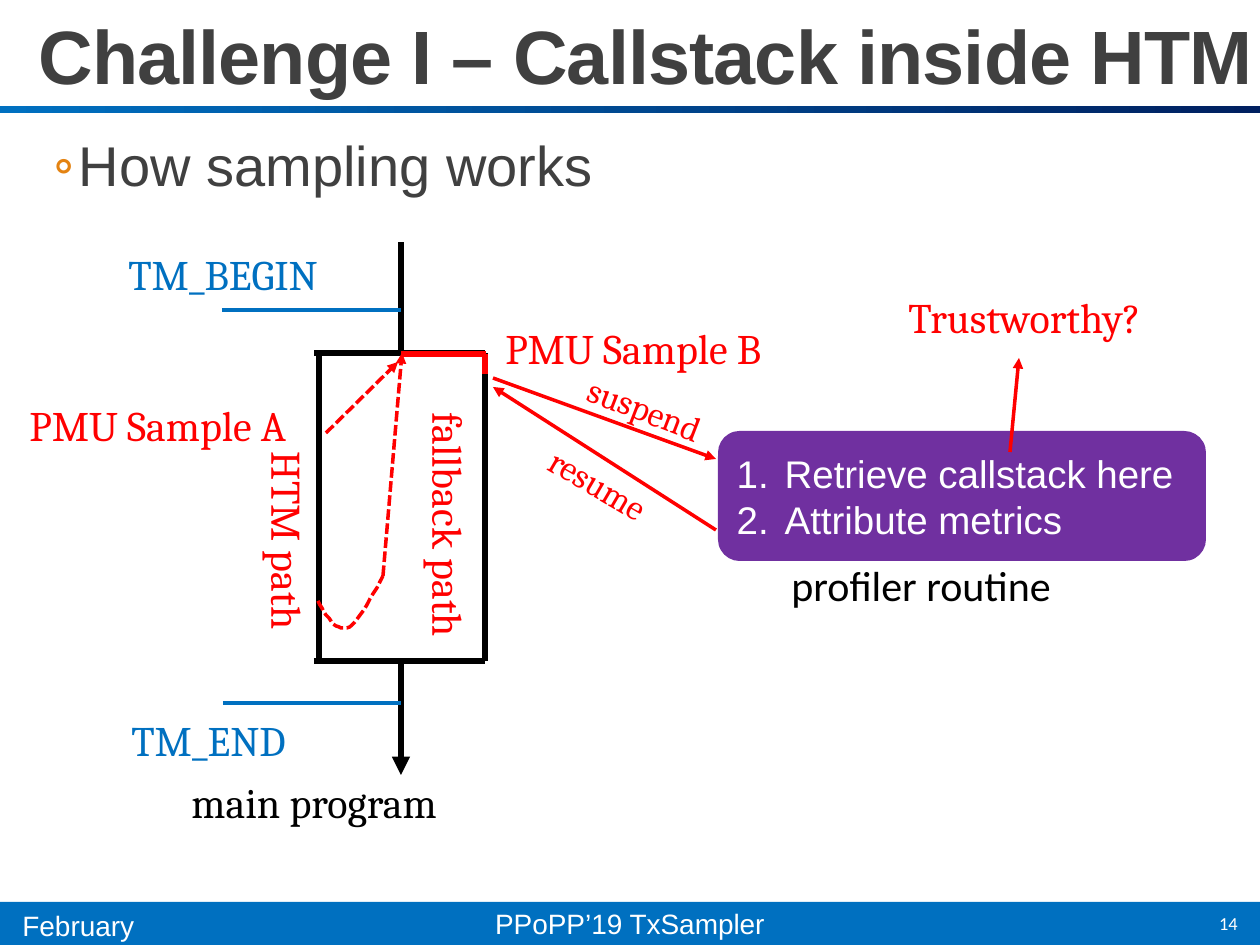
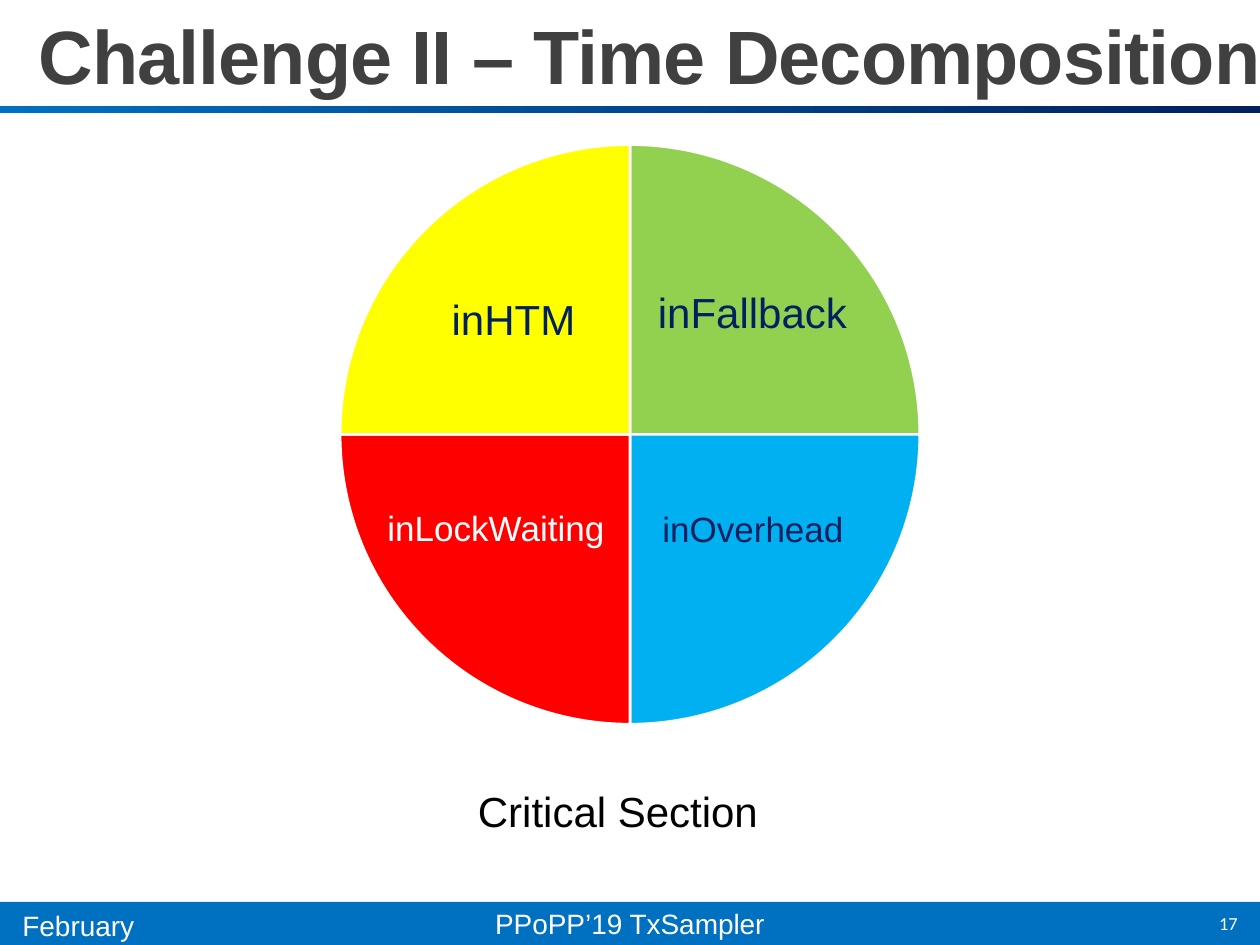
from pptx import Presentation
from pptx.chart.data import CategoryChartData
from pptx.dml.color import RGBColor
from pptx.enum.chart import XL_CHART_TYPE
from pptx.enum.dml import MSO_LINE
from pptx.enum.shapes import MSO_CONNECTOR, MSO_SHAPE
from pptx.enum.text import MSO_ANCHOR, PP_ALIGN
from pptx.oxml import parse_xml
from pptx.oxml.ns import nsdecls
from pptx.util import Pt
from lxml.etree import SubElement
from pptx.oxml.ns import qn

SCALE = 914400 / 126
WIDE, HIGH = 1260, 945

BLUE = RGBColor(0x00, 0x70, 0xC0)
NAVY = RGBColor(0x00, 0x20, 0x60)
GREY = RGBColor(0x40, 0x40, 0x40)
BLACK = RGBColor(0x00, 0x00, 0x00)
WHITE = RGBColor(0xFF, 0xFF, 0xFF)
RED = RGBColor(0xFF, 0x00, 0x00)
PURPLE = RGBColor(0x70, 0x30, 0xA0)
GREEN = RGBColor(0x92, 0xD0, 0x50)
SKY = RGBColor(0x00, 0xB0, 0xF0)
YELLOW = RGBColor(0xFF, 0xFF, 0x00)
ORANGE = "E48312"

LEFT, MID, RIGHT = PP_ALIGN.LEFT, PP_ALIGN.CENTER, PP_ALIGN.RIGHT

POINT = "How sampling works"
STEPS = ["Retrieve callstack here", "Attribute metrics"]

NOTES = [
    ("main program", (179, 770, 408, 63), 24, "Cambria", BLACK, 0),
    ("TM_BEGIN", (116, 242, 533, 63), 24, "Cambria", BLUE, 0),
    ("TM_END", (119, 708, 454, 63), 24, "Cambria", BLUE, 0),
    ("PMU Sample A", (17, 393, 314, 63), 24, "Cambria", RED, 0),
    ("PMU Sample B", (493, 316, 314, 63), 24, "Cambria", RED, 0),
    ("HTM path", (149, 547, 278, 63), 24, "Cambria", RED, 90),
    ("fallback path", (310, 508, 278, 63), 24, "Cambria", RED, 90),
    ("suspend", (571, 394, 215, 55), 20, "Cambria", RED, 21.1),
    ("resume", (527, 478, 215, 55), 20, "Cambria", RED, 30.5),
    ("profiler routine", (779, 553, 363, 63), 24, "Calibri", BLACK, 0),
    ("Trustworthy?", (896, 285, 718, 63), 24, "Cambria", RED, 0),
]

AXIS, WEST, EAST, TOP, BASE = 401, 319, 485, 353, 661
FRAME = [
    (WEST - 5, BASE, EAST, BASE),
    (WEST, BASE, WEST, TOP),
    (EAST, BASE, EAST, TOP),
    (EAST, TOP, WEST - 5, TOP),
    (AXIS, TOP, AXIS, 242),
]
MARKS = [(222, 310, AXIS, 310), (223, 703, AXIS, 703)]
TRACE = [(AXIS, 354, EAST + 1, 354), (EAST, 374, EAST, 354)]
JUMPS = [(383, 576, 402, 353), (326, 433, 398, 362)]
CALLS = [(493, 378, 716, 459), (716, 530, 493, 387), (1010, 452, 1019, 358)]
CURVES = [
    [(318, 601), (326, 616), (335, 631), (347, 628)],
    [(347, 628), (358, 624), (370, 600), (383, 576)],
]

SHARES = [25, 25, 25, 25]
HUES = [GREEN, SKY, RED, YELLOW]
PARTS = [
    ("inHTM", (436, 282, 155, 73), 24, NAVY, YELLOW),
    ("inFallback", (633, 282, 239, 60), 24, NAVY, GREEN),
    ("inLockWaiting", (367, 489, 258, 78), 20, WHITE, None),
    ("inOverhead", (640, 499, 226, 59), 20, NAVY, None),
    ("Critical Section", (455, 774, 326, 73), 24, BLACK, None),
]


def px(*nums):
    return [round(n * SCALE) for n in nums]


def style(para, size, face, hue, align=LEFT):
    para.alignment = align
    font = para.font
    font.size, font.name = Pt(size), face
    font.color.rgb = hue


def label(slide, text, box, size, face, hue, turn=0, align=LEFT,
          anchor=MSO_ANCHOR.TOP, fill=None):
    shape = slide.shapes.add_textbox(*px(*box))
    shape.rotation = turn
    if fill is not None:
        shape.fill.solid()
        shape.fill.fore_color.rgb = fill
    frame = shape.text_frame
    frame.word_wrap = True
    frame.vertical_anchor = anchor
    para = frame.paragraphs[0]
    para.text = text
    style(para, size, face, hue, align)
    return frame


def block(slide, kind, box, fill=None):
    shape = slide.shapes.add_shape(kind, *px(*box))
    shape.shadow.inherit = False
    shape.line.fill.background()
    if fill is not None:
        shape.fill.solid()
        shape.fill.fore_color.rgb = fill
    return shape


def stroke(line, hue, width, dash=False):
    line.color.rgb = hue
    line.width = Pt(width)
    if dash:
        line.dash_style = MSO_LINE.SQUARE_DOT


def link(slide, ends, hue, width, dash=False, arrow=False):
    wire = slide.shapes.add_connector(MSO_CONNECTOR.STRAIGHT, *px(*ends))
    stroke(wire.line, hue, width, dash)
    props = wire._element.spPr
    if arrow:
        SubElement(props.find(qn("a:ln")), qn("a:tailEnd"), type="triangle")
    SubElement(props, qn("a:effectLst"))


def indent(para, left, hang):
    props = para._p.get_or_add_pPr()
    props.set("marL", str(px(left)[0]))
    props.set("indent", str(px(-hang)[0]))
    return props


def start(deck, title, page):
    slide = deck.slides.add_slide(deck.slide_layouts[6])
    rule = block(slide, MSO_SHAPE.RECTANGLE, (0, 106, WIDE, 7))
    rule.fill.gradient()
    rule.fill.gradient_angle = 0
    for stop, hue in zip(rule.fill.gradient_stops, (BLUE, NAVY)):
        stop.color.rgb = hue
    foot = block(slide, MSO_SHAPE.RECTANGLE, (0, 902, WIDE, 43), BLUE)
    foot.text_frame.vertical_anchor = MSO_ANCHOR.MIDDLE
    para = foot.text_frame.paragraphs[0]
    para.text = "PPoPP’19 TxSampler"
    style(para, 16, "Arial", WHITE, MID)
    label(slide, "February", (10, 902, 156, 47), 16, "Arial", WHITE)
    label(slide, page, (1114, 898, 136, 50), 10.5, "Calibri", WHITE,
          align=RIGHT, anchor=MSO_ANCHOR.MIDDLE)
    head = label(slide, title, (26, 33, 1270, 73), 43.2, "Arial", GREY,
                 anchor=MSO_ANCHOR.BOTTOM).paragraphs[0]
    head.font.bold = True
    head.line_spacing = 0.85
    head.runs[0].font._element.set("spc", "-50")
    return slide


def bezier(a, b, c, d, t):
    s = 1 - t
    return [s**3 * p + 3 * s * s * t * q + 3 * s * t * t * r + t**3 * u
            for p, q, r, u in zip(a, b, c, d)]


def bullet(slide):
    frame = label(slide, "", (26, 132, 1194, 750), 32, "Arial", GREY)
    frame.margin_left = frame.margin_right = 0
    para = frame.paragraphs[0]
    para.text = POINT
    para.line_spacing = 0.9
    para.space_after = Pt(4)
    props = indent(para, 53, 25)
    for old in props.findall(qn("a:defRPr")):
        props.remove(old)
    tint = SubElement(props, qn("a:buClr"))
    SubElement(tint, qn("a:srgbClr"), val=ORANGE)
    SubElement(props, qn("a:buFont"), typeface="Calibri")
    SubElement(props, qn("a:buChar"), char="◦")
    style(para, 32, "Arial", GREY)


def panel(slide):
    box = block(slide, MSO_SHAPE.ROUNDED_RECTANGLE, (718, 431, 488, 130), PURPLE)
    frame = box.text_frame
    frame.vertical_anchor = MSO_ANCHOR.MIDDLE
    for i, step in enumerate(STEPS):
        para = frame.add_paragraph() if i else frame.paragraphs[0]
        para.text = step
        props = indent(para, 48, 48)
        SubElement(props, qn("a:buFont"), typeface="Arial")
        SubElement(props, qn("a:buAutoNum"), type="arabicPeriod")
        style(para, 22, "Arial", WHITE)


def stack(deck):
    slide = start(deck, "Challenge I – Callstack inside HTM", "14")
    bullet(slide)
    panel(slide)
    link(slide, (AXIS, BASE, AXIS, 775), BLACK, 3.5, arrow=True)
    for ends in FRAME:
        link(slide, ends, BLACK, 3.5)
    for ends in MARKS:
        link(slide, ends, BLUE, 2.5)
    for ends in TRACE:
        link(slide, ends, RED, 3.5)
    for ends in JUMPS:
        link(slide, ends, RED, 2, dash=True, arrow=True)
    for ends in CALLS:
        link(slide, ends, RED, 2, arrow=True)
    dots = [bezier(*curve, n / 12) for curve in CURVES for n in range(13)]
    pen = slide.shapes.build_freeform(*dots[0], scale=SCALE)
    pen.add_line_segments(dots[1:], close=False)
    loop = pen.convert_to_shape()
    loop.shadow.inherit = False
    loop.fill.background()
    stroke(loop.line, RED, 2, dash=True)
    for note in NOTES:
        label(slide, *note)


def pie(slide):
    data = CategoryChartData()
    data.categories = [str(n + 1) for n in range(len(SHARES))]
    data.add_series("Series 1", SHARES)
    chart = slide.shapes.add_chart(
        XL_CHART_TYPE.PIE, *px(117, 126, 1026, 617), data).chart
    chart.has_title = chart.has_legend = False
    chart.font.size, chart.font.name = Pt(10), "Calibri"
    chart.font.color.rgb = BLACK
    plot = chart.plots[0]
    plot.vary_by_categories = True
    for i, hue in enumerate(HUES):
        part = plot.series[0].points[i].format
        part.fill.solid()
        part.fill.fore_color.rgb = hue
        stroke(part.line, WHITE, 1.5)
    area = chart._chartSpace.chart.plotArea
    for old in area.findall(qn("c:layout")):
        area.remove(old)
    rules = [("layoutTarget", "inner"), ("xMode", "edge"), ("yMode", "edge"),
             ("x", 0.2175), ("y", 0.03), ("w", 0.565), ("h", 0.94)]
    tags = "".join(f'<c:{tag} val="{val}"/>' for tag, val in rules)
    area.insert(0, parse_xml(
        f'<c:layout {nsdecls("c")}><c:manualLayout>{tags}</c:manualLayout></c:layout>'))


def time(deck):
    slide = start(deck, "Challenge II – Time Decomposition", "17")
    pie(slide)
    for text, box, size, hue, fill in PARTS:
        label(slide, text, box, size, "Arial", hue, align=MID,
              anchor=MSO_ANCHOR.MIDDLE, fill=fill)


def main():
    deck = Presentation()
    deck.slide_width, deck.slide_height = px(WIDE, HIGH)
    stack(deck)
    time(deck)
    deck.save("out.pptx")


if __name__ == "__main__":
    main()
